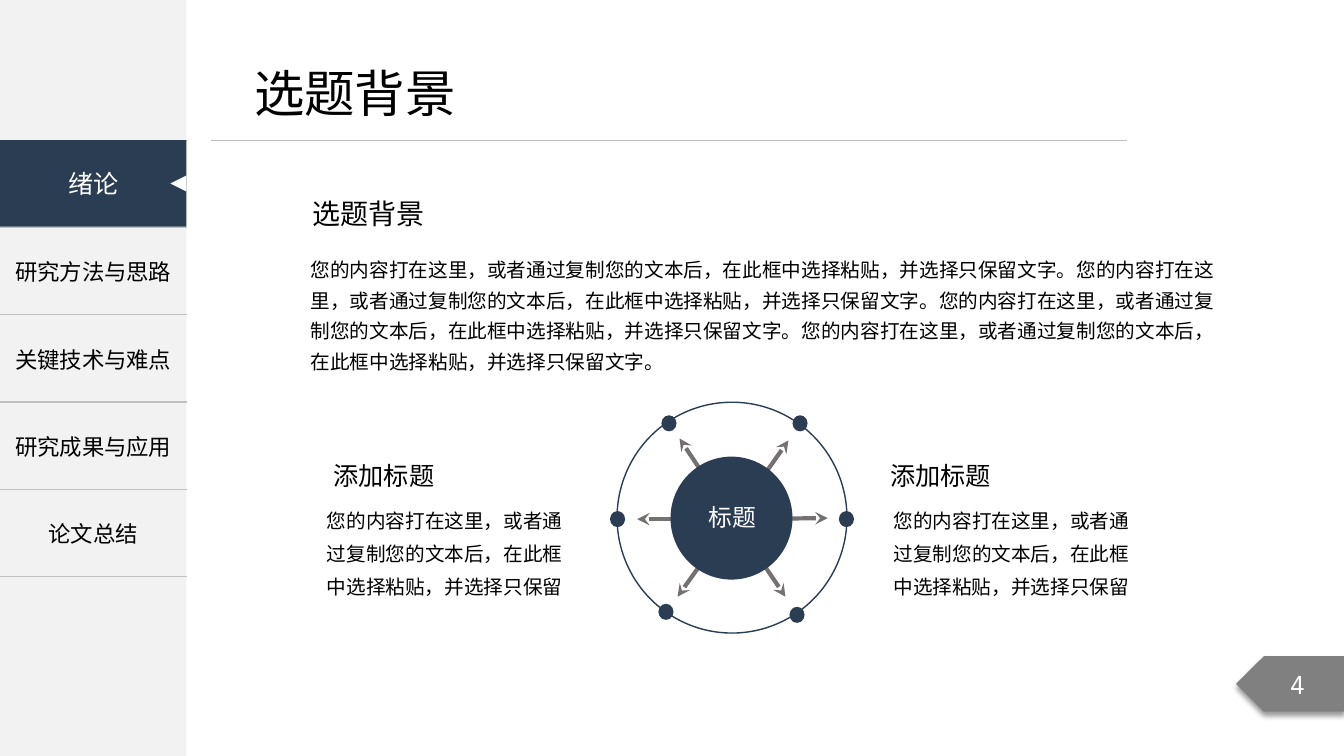
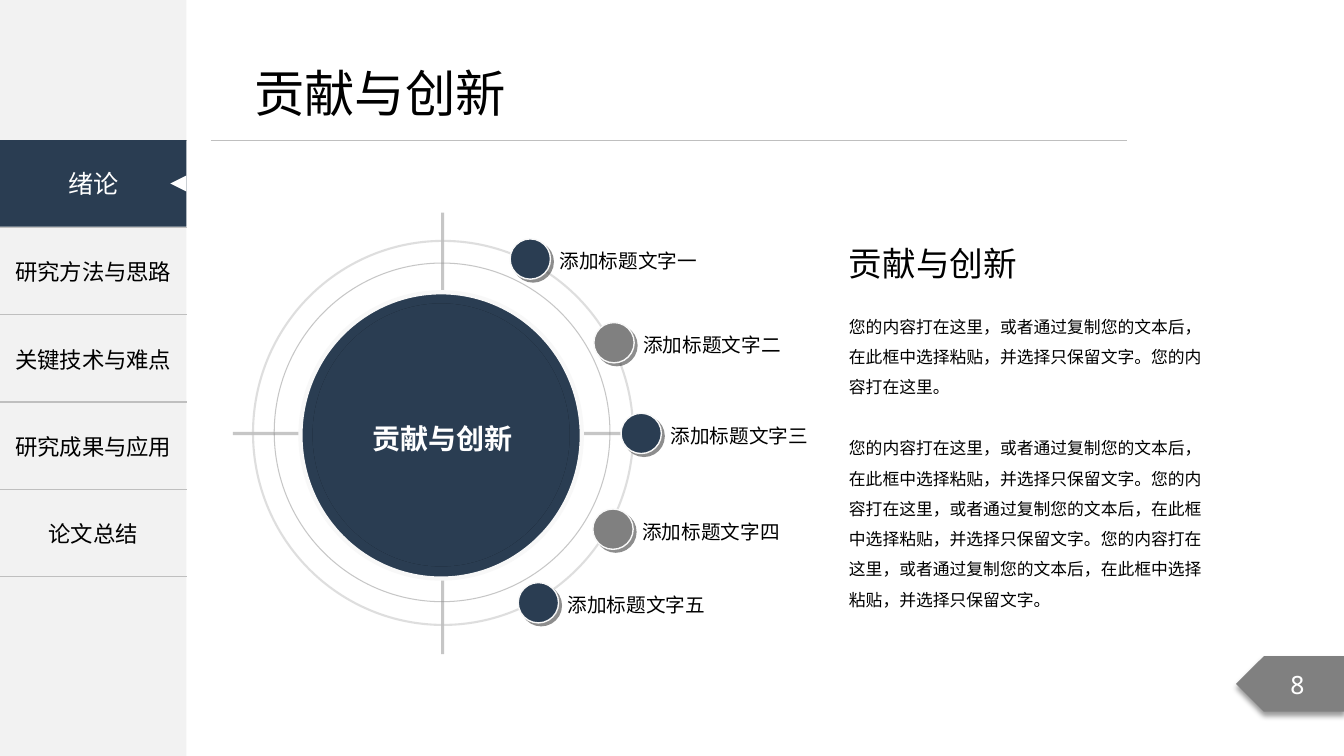
import pptx
import pptx.dml.color
import pptx.enum.dml
import pptx.enum.shapes
import pptx.enum.text
import pptx.oxml.ns
import pptx.util
from lxml import etree

PX = 9144  # one px is a hundredth of an inch
COLORS = {
    "navy": "2A3D52", "gray": "808080", "panel": "F2F2F2", "rule": "BFBFBF",
    "spoke": "767171", "axis": "8F8F8F", "halo": "F8F8F8", "shade": "1C1C1C",
    "black": "000000", "white": "FFFFFF",
}
CJK = "Noto Sans CJK SC"
MONO = "Noto Sans Mono"
LATIN = "Arial"
TIGHT = (8, 4)
NORMAL = (10, 5)

SHAPE = pptx.enum.shapes.MSO_SHAPE
ALIGN = pptx.enum.text.PP_ALIGN
ANCHOR = pptx.enum.text.MSO_ANCHOR

CHAPTERS = ["研究方法与思路", "关键技术与难点", "研究成果与应用", "论文总结"]
CLAUSE = "您的内容打在这里，或者通过复制您的文本后，在此框中选择粘贴，并选择只保留"
SENTENCE = CLAUSE + "文字。"


def emu(*lengths):
    return [pptx.util.Emu(length * PX) for length in lengths]


def rgb(name):
    return pptx.dml.color.RGBColor.from_string(COLORS[name])


def sub(parent, tag, **attributes):
    return etree.SubElement(parent, pptx.oxml.ns.qn(tag), attributes)


def write(frame, paragraphs, size, color="black", font=CJK, align=ALIGN.LEFT,
          anchor=ANCHOR.TOP, spacing=1.0, gap=0, bold=False, wrap=True,
          inset=NORMAL):
    """Fill a text frame with evenly formatted, unbulleted paragraphs."""
    frame.auto_size = pptx.enum.text.MSO_AUTO_SIZE.NONE
    frame.word_wrap = wrap
    frame.vertical_anchor = anchor
    side, end = emu(*inset)
    frame.margin_left = frame.margin_right = side
    frame.margin_top = frame.margin_bottom = end
    frame.text = "\n".join(paragraphs)
    for index, paragraph in enumerate(frame.paragraphs):
        format_paragraph(paragraph, size, color, font, align, bold)
        paragraph.line_spacing = spacing
        paragraph.space_before = pptx.util.Pt(gap if index else 0)


def format_paragraph(paragraph, size, color, font=CJK, align=ALIGN.CENTER, bold=False):
    properties = paragraph._p.get_or_add_pPr()
    properties.set("marL", "0")
    properties.set("indent", "0")
    sub(properties, "a:buNone")
    paragraph.alignment = align
    paragraph.font.size = pptx.util.Pt(size)
    paragraph.font.bold = bold
    paragraph.font.color.rgb = rgb(color)
    paragraph.font.name = font
    sub(properties.find(pptx.oxml.ns.qn("a:defRPr")), "a:ea", typeface=CJK)


def place(holder, box):
    holder.left, holder.top, holder.width, holder.height = emu(*box)
    return holder.text_frame


def add_text(slide, box, text, size, **style):
    write(slide.shapes.add_textbox(*emu(*box)).text_frame, [text], size, **style)


def set_line(item, color, width, alpha=None):
    item.line.color.rgb = rgb(color)
    item.line.width = pptx.util.Pt(width)
    if alpha:
        for tint in item._element.spPr.iterfind("./" + pptx.oxml.ns.qn("a:ln")
                                                + "//" + pptx.oxml.ns.qn("a:srgbClr")):
            sub(tint, "a:alpha", val=str(alpha * 1000))


def add_shape(slide, kind, box, fill=None, line=None):
    """line holds a colour, a width and, if wanted, an opacity in percent."""
    shape = slide.shapes.add_shape(kind, *emu(*box))
    shape.shadow.inherit = False
    if fill:
        shape.fill.solid()
        shape.fill.fore_color.rgb = rgb(fill)
    else:
        shape.fill.background()
    if line:
        set_line(shape, *line)
    else:
        shape.line.fill.background()
    return shape


def add_line(slide, start, end, color, width, alpha=None, arrow=False):
    line = slide.shapes.add_connector(
        pptx.enum.shapes.MSO_CONNECTOR.STRAIGHT, *emu(*start, *end))
    set_line(line, color, width, alpha)
    if arrow:
        sub(line.line._get_or_add_ln(), "a:tailEnd", type="stealth")
    sub(line._element.spPr, "a:effectLst")


def cast_shadow(shape, color, alpha, blur, distance, angle):
    effects = shape._element.spPr.find(pptx.oxml.ns.qn("a:effectLst"))
    shadow = sub(effects, "a:outerShdw", blurRad=str(pptx.util.Pt(blur)),
                 dist=str(pptx.util.Pt(distance)), dir=str(angle * 60000),
                 algn="ctr", rotWithShape="0")
    tint = sub(shadow, "a:srgbClr", val=COLORS[color])
    sub(tint, "a:alpha", val=str(alpha * 1000))


def rule_cell(cell):
    """Leave the cell clear, with a rule above and below it only."""
    cell.fill.background()
    properties = cell._tc.get_or_add_tcPr()
    for index, edge in enumerate(("L", "R", "T", "B")):
        border = sub(properties, "a:ln" + edge, w=str(pptx.util.Pt(1)))
        properties.insert(index, border)
        if edge in "TB":
            sub(sub(border, "a:solidFill"), "a:srgbClr", val=COLORS["rule"])
        else:
            sub(border, "a:noFill")


def add_navigation(slide):
    add_shape(slide, SHAPE.RECTANGLE, (0, 0, 185, 750), "panel")
    rows = len(CHAPTERS) + 1
    menu = slide.shapes.add_table(rows, 1, *emu(0, 139, 185, 433)).table
    menu.first_row = menu.horz_banding = False
    for row, chapter in enumerate([""] + CHAPTERS):
        cell = menu.cell(row, 0)
        rule_cell(cell)
        cell.vertical_anchor = ANCHOR.MIDDLE
        cell.text = chapter
        format_paragraph(cell.text_frame.paragraphs[0], 16, "black")
    current = add_shape(slide, SHAPE.RECTANGLE, (0, 139, 185, 86), "navy")
    write(current.text_frame, ["绪论"], 18, "white", align=ALIGN.CENTER,
          anchor=ANCHOR.MIDDLE)
    pointer = add_shape(slide, SHAPE.ISOSCELES_TRIANGLE, (169, 174, 16, 16), "white")
    pointer.rotation = 270


def add_page_tag(slide, number):
    tag = add_shape(slide, SHAPE.PENTAGON, (1226, 651, 108, 55), "gray")
    tag._element.spPr.xfrm.set("flipH", "1")
    cast_shadow(tag, "black", 40, 4, 3, 90)
    write(tag.text_frame, [str(number)], 18, "white", MONO, ALIGN.CENTER, ANCHOR.MIDDLE)


def add_page(deck, title, title_width, number):
    slide = deck.slides.add_slide(deck.slide_layouts[1])
    add_navigation(slide)
    add_line(slide, (209, 139), (1118, 139), "rule", 0.5)
    add_page_tag(slide, number)
    write(place(slide.shapes.title, (242, 57, title_width, 71)), [title], 36, wrap=False)
    return slide


def build_background(deck):
    slide = add_page(deck, "选题背景", 222, 4)
    write(place(slide.placeholders[1], (298, 244, 925, 160)), [SENTENCE * 4], 14,
          spacing=1.3)
    add_text(slide, (300, 190, 132, 44), "选题背景", 20, wrap=False)

    add_shape(slide, SHAPE.OVAL, (612, 399, 228, 229), line=("navy", 1))
    for left, top in [(786, 412), (656, 412), (605, 507),
                      (832, 507), (783, 602), (653, 599)]:
        add_shape(slide, SHAPE.OVAL, (left, top, 15, 16), "navy")
    for tip in [(782, 437), (821, 514), (674, 435),
                (632, 515), (672, 592), (779, 592)]:
        add_line(slide, (727, 515), tip, "spoke", 3, arrow=True)
    add_shape(slide, SHAPE.OVAL, (665, 453, 121, 122), "navy")
    add_text(slide, (693, 494, 75, 39), "标题", 17, color="white", wrap=False)

    for heading_left, text_left in [(873, 876), (321, 314)]:
        add_text(slide, (heading_left, 452, 121, 40), "添加标题", 18, wrap=False)
        add_text(slide, (text_left, 490, 254, 110), CLAUSE, 14, align=ALIGN.RIGHT,
                 spacing=pptx.util.Pt(23.7))


def build_contribution(deck):
    slide = add_page(deck, "贡献与创新", 273, 8)
    add_line(slide, (231, 430), (647, 430), "axis", 2.25, alpha=50)
    add_line(slide, (439, 211), (439, 649), "axis", 2.25, alpha=50)
    add_shape(slide, SHAPE.OVAL, (272, 261, 333, 336), line=("axis", 0.75, 50))
    add_shape(slide, SHAPE.OVAL, (251, 239, 377, 381), line=("rule", 1.5, 50))
    add_shape(slide, SHAPE.OVAL, (298, 290, 279, 284), "navy", ("halo", 3))
    disc = add_shape(slide, SHAPE.OVAL, (310, 301, 255, 261), "navy")
    cast_shadow(disc, "black", 50, 0, 0, 0)
    core = add_shape(slide, SHAPE.OVAL, (357, 351, 164, 167), "navy")
    write(core.text_frame, ["贡献与创新"], 20, "white", LATIN, ALIGN.CENTER,
          ANCHOR.MIDDLE, bold=True, wrap=False)

    nodes = [(506, 237), (589, 320), (616, 410), (588, 505), (514, 578)]
    for index, (numeral, (left, top)) in enumerate(zip("一二三四五", nodes)):
        node = add_shape(slide, SHAPE.OVAL, (left, top, 40, 40),
                         ("navy", "gray")[index % 2], ("halo", 1))
        cast_shadow(node, "shade", 50, 0, 2.8, 45)
        add_text(slide, (left + 41, top + 6, 244, 32), "添加标题文字" + numeral, 14,
                 font=LATIN, anchor=ANCHOR.MIDDLE, inset=TIGHT)

    add_text(slide, (834, 237, 189, 48), "贡献与创新", 24, inset=TIGHT)
    write(place(slide.placeholders[1], (834, 300, 367, 308)),
          [SENTENCE + "您的内容打在这里。", SENTENCE * 3], 12,
          spacing=1.5, gap=22, inset=TIGHT)


def main():
    deck = pptx.Presentation()
    deck.slide_width, deck.slide_height = emu(1333, 750)
    build_background(deck)
    build_contribution(deck)
    deck.save("out.pptx")


if __name__ == "__main__":
    main()
